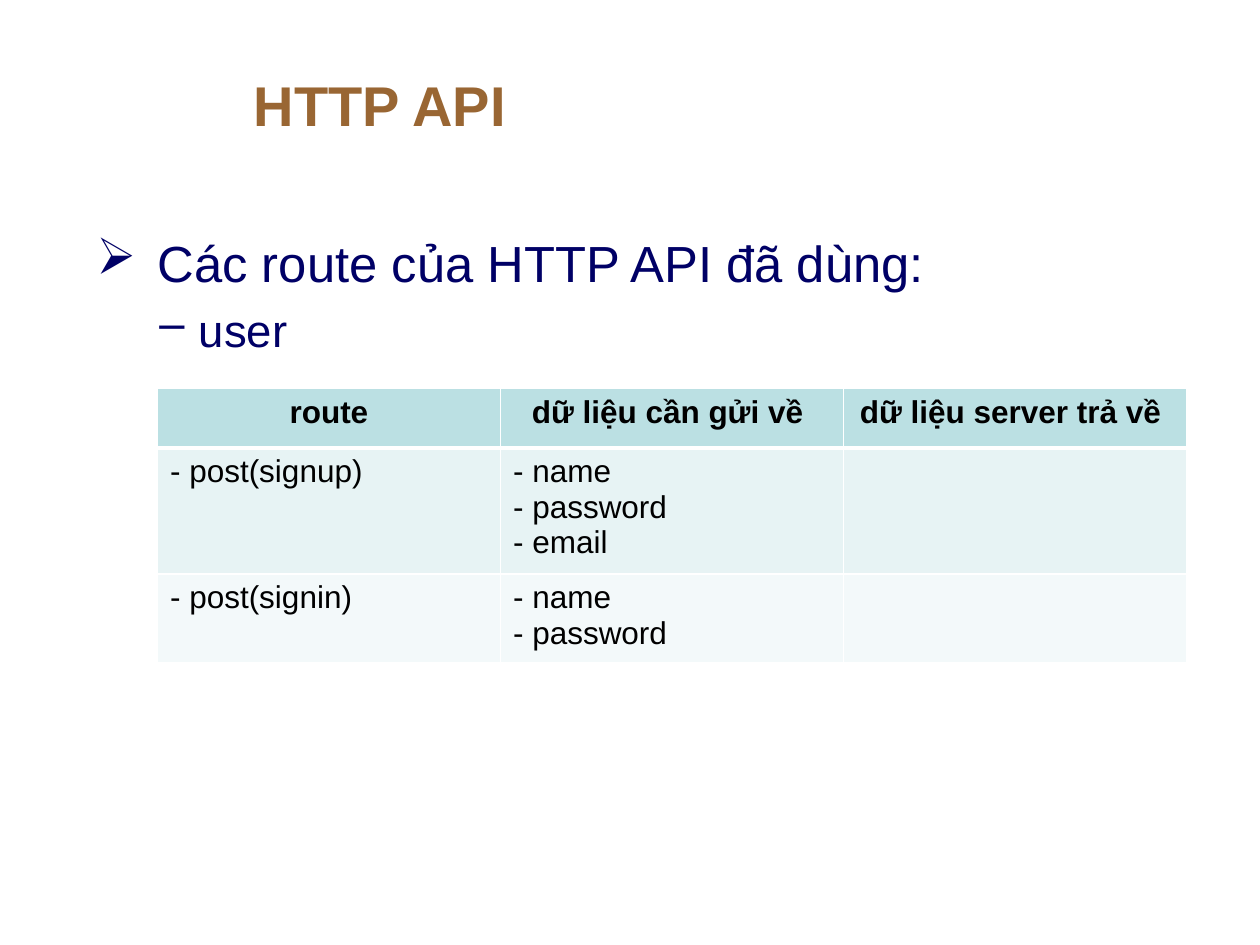
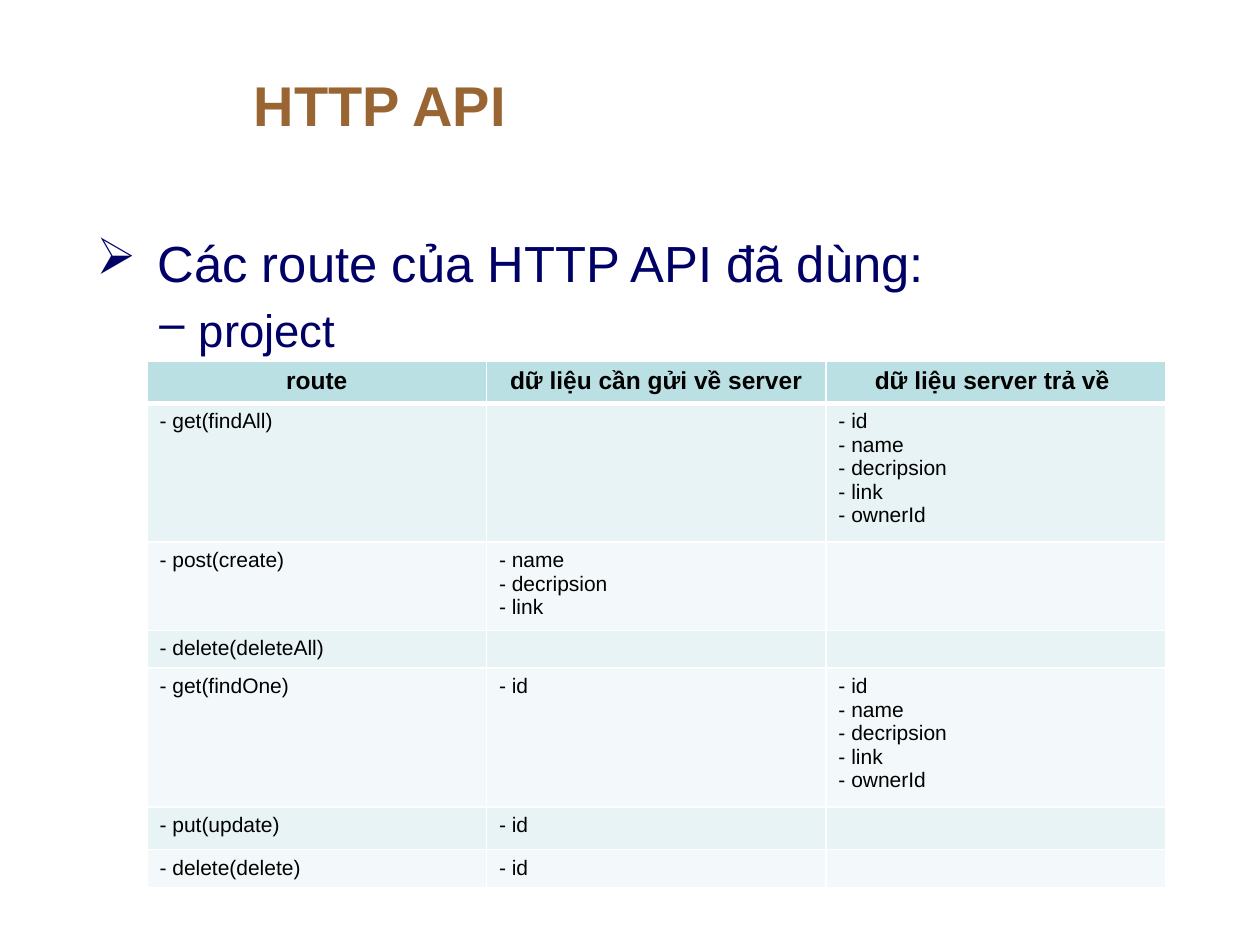
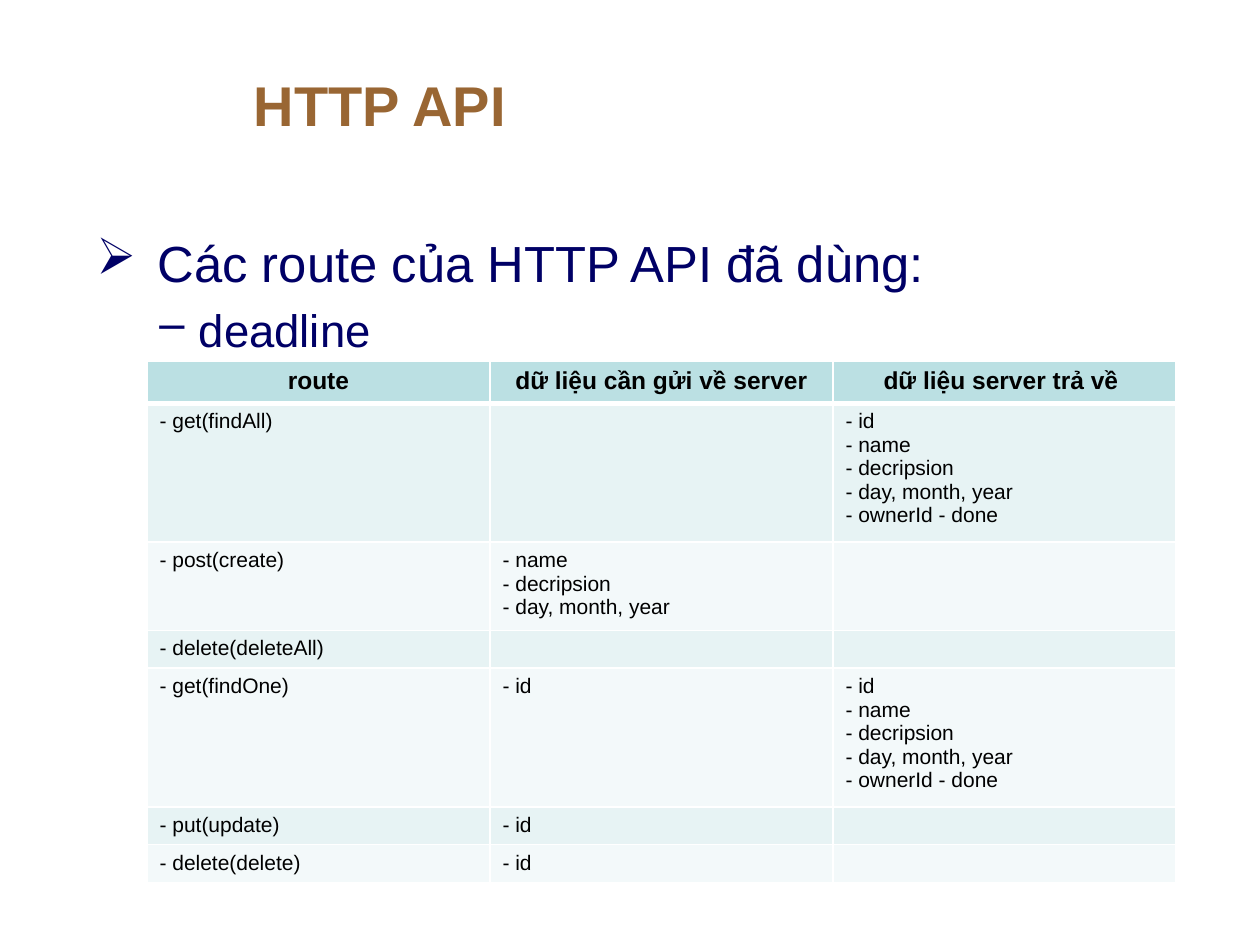
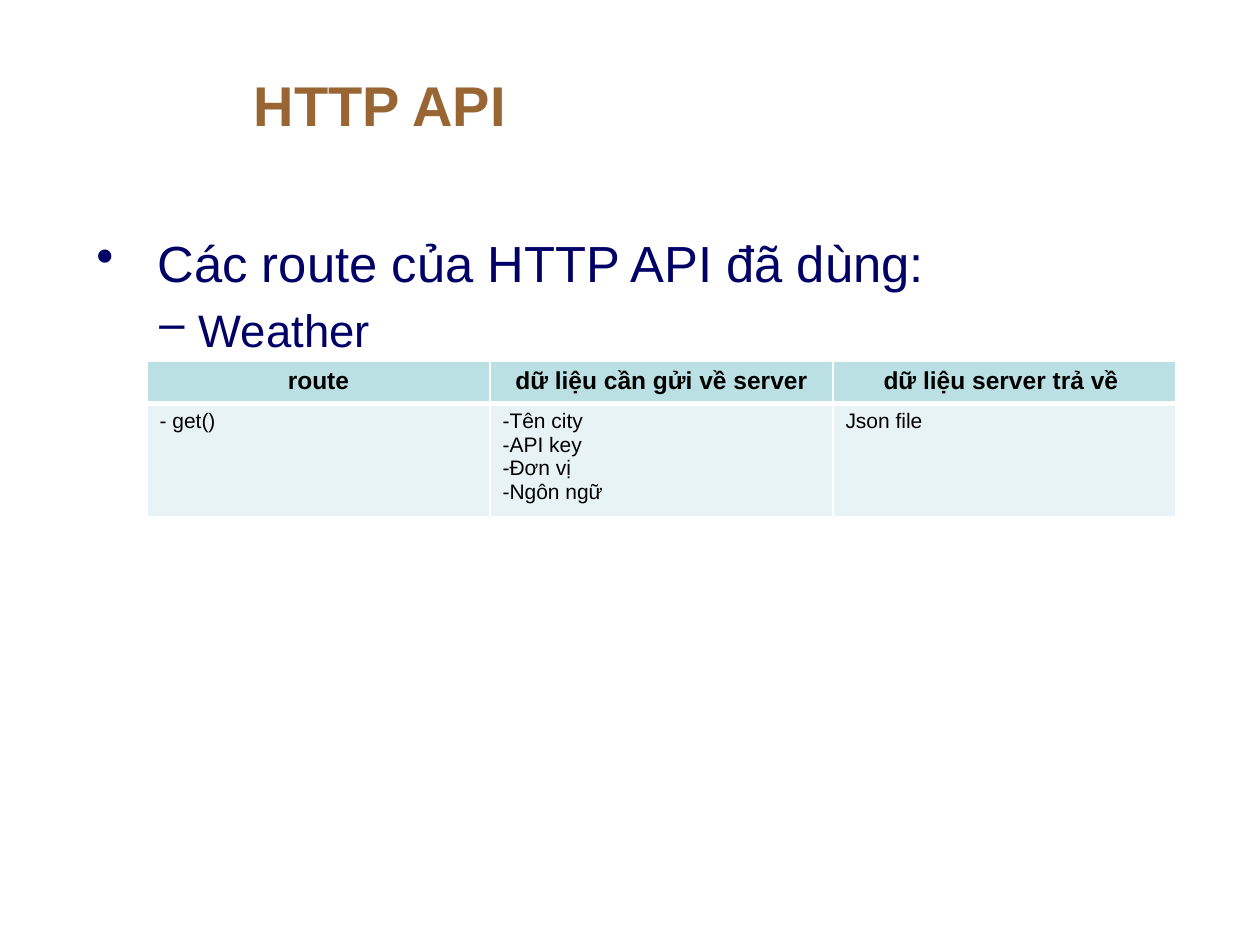
from pptx import Presentation
from pptx.dml.color import RGBColor
from pptx.enum.text import MSO_ANCHOR, PP_ALIGN
from pptx.oxml.xmlchemy import OxmlElement
from pptx.util import Pt

MIDDLE = MSO_ANCHOR.MIDDLE
CENTER = PP_ALIGN.CENTER
LEFT = PP_ALIGN.LEFT

FONT = "Arial"
COLORS = {
    "title": "996633",
    "body": "000066",
    "cell": "000000",
    "header": "BBE0E3",
    "odd_row": "E7F3F4",
    "even_row": "F3F9FA",
    "border": "FFFFFF",
}
TITLE = "HTTP API"
HEADING = "Các route của HTTP API đã dùng:"
BULLET_LEVELS = [(35, -35, 29), (58.5, -22.5, 26)]  # margin, indent, text size
LINE_FACTOR = 1.11
CELL_PADDING = 7.2


def add_span(para, text, size, color, bold=False):
    span = para.add_run()
    span.text = text
    span.font.name = FONT
    span.font.size = Pt(size)
    span.font.bold = bold
    span.font.color.rgb = RGBColor.from_string(COLORS[color])


def resource_routes(sent, returned):
    return [
        ["- get(findAll)", "", returned],
        ["- post(create)", sent, ""],
        ["- delete(deleteAll)", "", ""],
        ["- get(findOne)", "- id", returned],
        ["- put(update)", "- id", ""],
        ["- delete(delete)", "- id", ""],
    ]


# Content of each page
ROUTE_HEADER = ["route", "dữ liệu cần gửi về server", "dữ liệu server trả về "]
pages = [
    {
        "topic": "user", "bullet": "➢", "at": (90, 222), "width": 588,
        "sizes": (18, 18), "least_heights": {0: 34},
        "header": ["route", "dữ liệu cần gửi về ", "dữ liệu server trả về "],
        "routes": [
            ["- post(signup)", "- name\n- password\n- email", ""],
            ["- post(signin)", "- name\n- password", ""],
        ],
    },
    {
        "topic": "project", "bullet": "➢", "at": (84, 206.5), "width": 582,
        "sizes": (14, 12), "least_heights": {5: 24.5},
        "header": ROUTE_HEADER,
        "routes": resource_routes(
            "- name\n- decripsion\n- link",
            "- id\n- name\n- decripsion\n- link\n- ownerId"),
    },
    {
        "topic": "deadline", "bullet": "➢", "at": (84, 206.5), "width": 588,
        "sizes": (14, 12), "least_heights": {},
        "header": ROUTE_HEADER,
        "routes": resource_routes(
            "- name\n- decripsion\n- day, month, year",
            "- id\n- name\n- decripsion\n- day, month, year\n- ownerId - done"),
    },
    {
        "topic": "Weather", "bullet": "•", "at": (84, 206.5), "width": 588,
        "sizes": (14, 12), "least_heights": {},
        "header": ROUTE_HEADER,
        "routes": [
            ["- get()", "-Tên city\n-API key\n-Đơn vị\n-Ngôn ngữ", "Json file"],
        ],
    },
]

deck = Presentation()
deck.slide_width = Pt(720)
deck.slide_height = Pt(540)
blank_layout = deck.slide_layouts[6]

for content in pages:
    page = deck.slides.add_slide(blank_layout)

    # Title
    title_box = page.shapes.add_textbox(Pt(138), Pt(22.5), Pt(558), Pt(74))
    title_box.text_frame.word_wrap = True
    title_box.text_frame.vertical_anchor = MIDDLE
    add_span(title_box.text_frame.paragraphs[0], TITLE, 32, "title", True)

    # Heading and topic, each with its bullet
    body_box = page.shapes.add_textbox(Pt(48), Pt(129), Pt(648), Pt(369))
    body = body_box.text_frame
    body.word_wrap = True
    lines = [(content["bullet"], HEADING), ("–", content["topic"])]
    for level, (bullet, text) in enumerate(lines):
        margin, indent, size = BULLET_LEVELS[level]
        para = body.add_paragraph() if level else body.paragraphs[0]
        para.level = level
        para.space_before = Pt(5)
        add_span(para, text, size, "body")
        properties = para._p.get_or_add_pPr()
        properties.set("marL", str(Pt(margin)))
        properties.set("indent", str(Pt(indent)))
        mark = OxmlElement("a:buChar")
        mark.set("char", bullet)
        properties.append(mark)

    # Route table
    rows = [content["header"]] + content["routes"]
    heights = []
    for row_index, row in enumerate(rows):
        size = content["sizes"][min(row_index, 1)]
        line_count = max(text.count("\n") + 1 for text in row)
        fitted = line_count * size * LINE_FACTOR + CELL_PADDING
        heights.append(max(fitted, content["least_heights"].get(row_index, 0)))

    left, top = content["at"]
    table = page.shapes.add_table(
        len(rows), 3, Pt(left), Pt(top), Pt(content["width"]), Pt(sum(heights))).table
    table.first_row = True
    table.horz_banding = False
    for column in table.columns:
        column.width = Pt(content["width"] / 3)

    for row_index, row in enumerate(rows):
        is_header = row_index == 0
        size = content["sizes"][min(row_index, 1)]
        fill = "header" if is_header else "odd_row" if row_index % 2 else "even_row"
        table.rows[row_index].height = Pt(heights[row_index])
        for column_index, text in enumerate(row):
            cell = table.cell(row_index, column_index)

            # Borders, with a thick line under the header
            cell_properties = cell._tc.get_or_add_tcPr()
            widths = {"L": 1, "R": 1, "T": 3 if row_index == 1 else 1,
                      "B": 3 if is_header else 1}
            for side, width in widths.items():
                line = OxmlElement("a:ln" + side)
                line.set("w", str(Pt(width)))
                line_fill = OxmlElement("a:solidFill")
                line_color = OxmlElement("a:srgbClr")
                line_color.set("val", COLORS["border"])
                line_fill.append(line_color)
                line.append(line_fill)
                cell_properties.append(line)
            cell.fill.solid()
            cell.fill.fore_color.rgb = RGBColor.from_string(COLORS[fill])

            # Text, one paragraph a line; empty cells keep the row's text size
            for line_index, entry in enumerate(text.split("\n")):
                frame = cell.text_frame
                para = frame.add_paragraph() if line_index else frame.paragraphs[0]
                para.alignment = CENTER if is_header else LEFT
                if entry:
                    add_span(para, entry, size, "cell", is_header)
                else:
                    end_mark = OxmlElement("a:endParaRPr")
                    end_mark.set("sz", str(size * 100))
                    para._p.append(end_mark)

deck.save("out.pptx")
